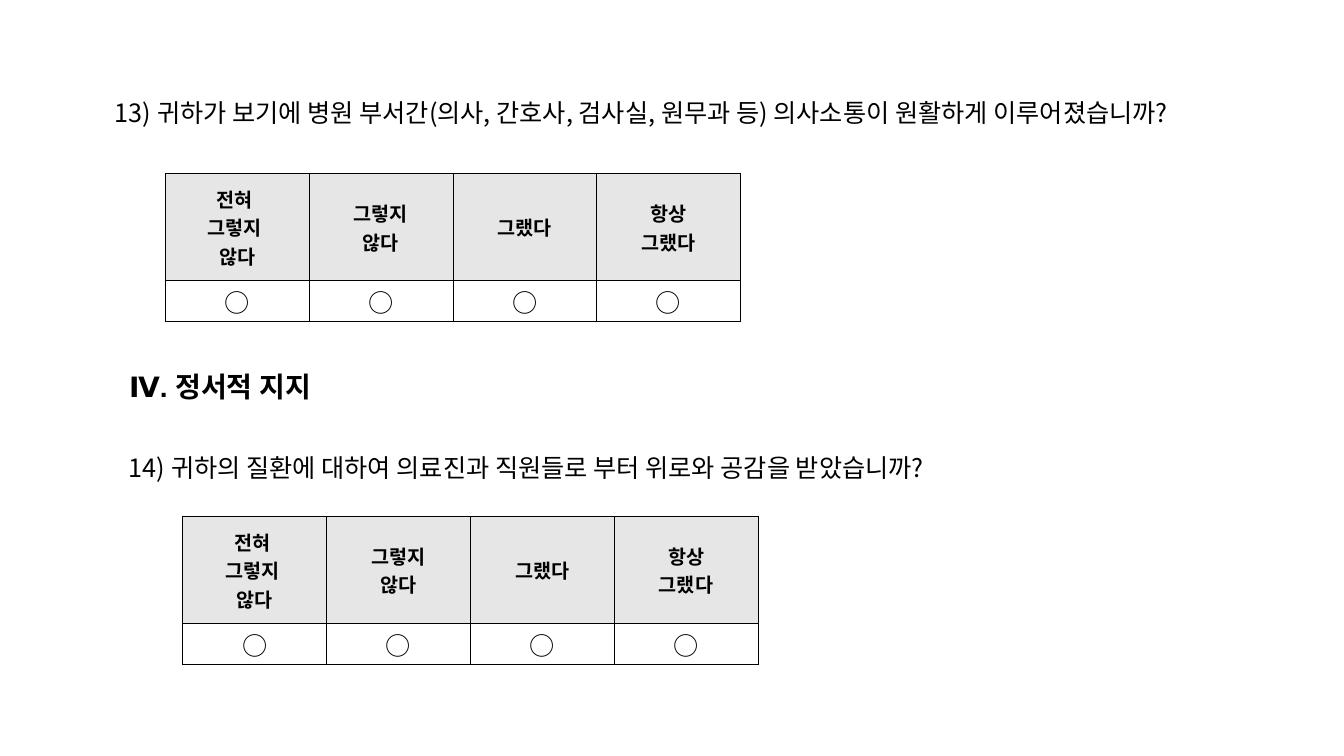
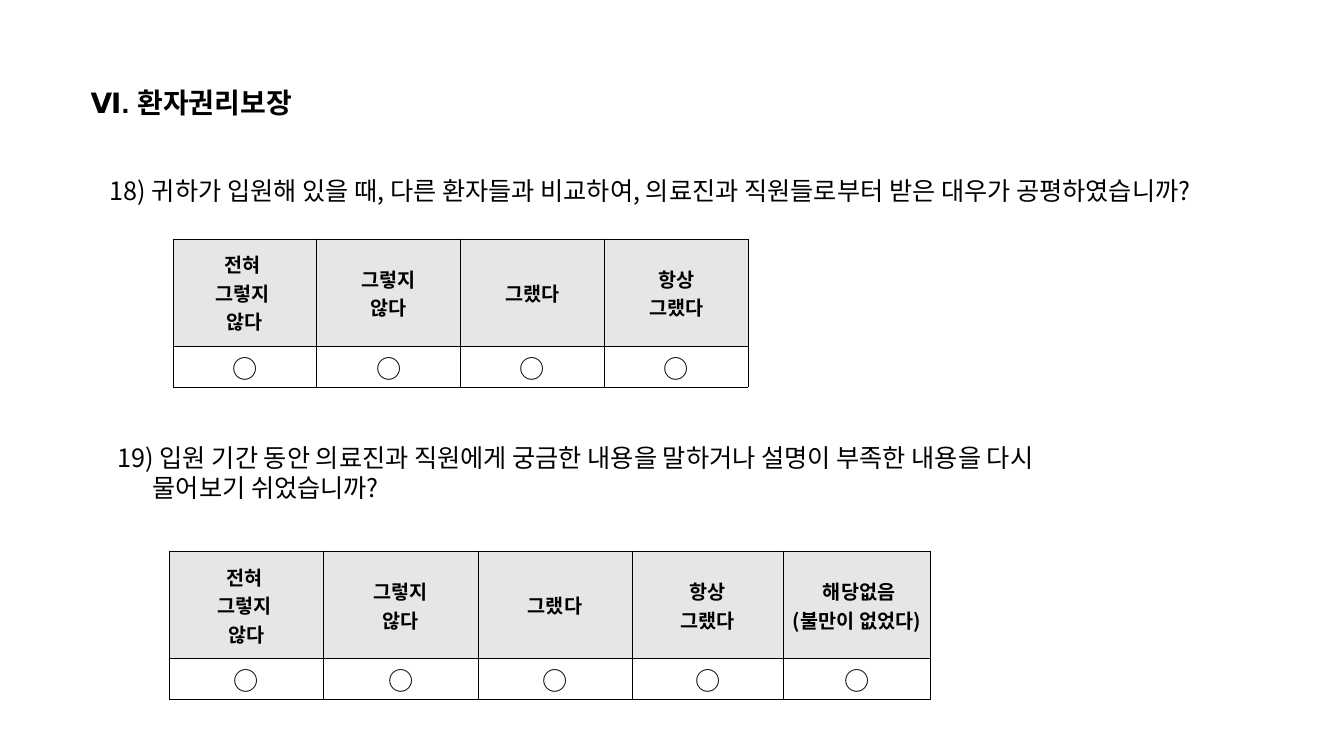
from dataclasses import dataclass
from typing import Any

from lxml import etree
from pptx import Presentation
from pptx.dml.color import RGBColor
from pptx.enum import text as t
from pptx.oxml import ns
from pptx.util import Pt

BLACK = RGBColor(0x00, 0x00, 0x00)
WHITE = RGBColor(0xFF, 0xFF, 0xFF)
HEADER_GRAY = RGBColor(0xE7, 0xE6, 0xE6)
KOREAN_FONT = "Noto Sans CJK KR"
TITLE_ONLY = 5

# Shared text styles
TITLE_FONT = {"name": "Arial", "size": Pt(20), "bold": True}
QUESTION_FONT = {"name": KOREAN_FONT, "size": Pt(18), "bold": False}
HEADER_FONT = {"name": KOREAN_FONT, "size": Pt(14), "bold": True}
CIRCLE_FONT = {"name": KOREAN_FONT, "size": Pt(18), "bold": False}
LINE_HEIGHTS = {"title": Pt(26), "question": Pt(21.6)}
CELL_FORMAT = {
    "margin_left": Pt(0.7), "margin_right": Pt(0.7),
    "margin_top": Pt(0.7), "margin_bottom": Pt(0),
    "vertical_anchor": t.MSO_ANCHOR.MIDDLE,
}

# Answer scale: \v breaks a line, \n starts a paragraph
SCALE = ["전혀 \v그렇지 \v않다", "그렇지\v않다", "그랬다", "항상\v그랬다"]
NOT_APPLICABLE = " 해당없음\n(불만이 없었다)"
FOUR_COLUMNS = [102.75] * 4
FIVE_COLUMNS = [110.2, 110.2, 110.2, 108, 105]
ROW_HEIGHTS = [76.5, 29.5]


@dataclass
class TextBlock:
    text: str
    left: float
    top: float
    width: float
    height: float
    wrap: bool = False


@dataclass
class AnswerTable:
    left: float
    top: float
    columns: list[float]
    labels: list[str]


@dataclass
class SurveyPage:
    title: TextBlock
    questions: list[TextBlock]
    tables: list[AnswerTable]


PAGES = [
    SurveyPage(
        TextBlock("Ⅳ. 정서적 지지", 85, 258.5, 155.5, 31.5),
        [
            TextBlock("13) 귀하가 보기에 병원 부서간(의사, 간호사, 검사실, 원무과 등) "
                      "의사소통이 원활하게 이루어졌습니까?", 75, 66.2, 851, 29),
            TextBlock("14) 귀하의 질환에 대하여 의료진과 직원들로 부터 "
                      "위로와 공감을 받았습니까?", 85, 319.7, 651.6, 29),
        ],
        [AnswerTable(118, 123.8, FOUR_COLUMNS, SCALE),
         AnswerTable(130.5, 368.6, FOUR_COLUMNS, SCALE)],
    ),
    SurveyPage(
        TextBlock("Ⅵ. 환자권리보장", 57.6, 55.4, 168.5, 31.5),
        [
            TextBlock("18) 귀하가 입원해 있을 때, 다른 환자들과 비교하여, "
                      "의료진과 직원들로부터 받은 대우가 공평하였습니까?",
                      71.3, 121.7, 879, 29),
            TextBlock("19) 입원 기간 동안 의료진과 직원에게 궁금한 내용을 "
                      "말하거나 설명이 부족한 내용을 다시\n물어보기 쉬었습니까?",
                      77, 312.5, 746.6, 51, wrap=True),
        ],
        [AnswerTable(123.5, 170.6, FOUR_COLUMNS, SCALE),
         AnswerTable(121, 393.8, FIVE_COLUMNS, SCALE + [NOT_APPLICABLE])],
    ),
]


def apply_format(target: Any, values: dict[str, Any]) -> None:
    for name, value in values.items():
        setattr(target, name, value)


def write_text(frame: Any, content: str, font: dict[str, Any],
               paragraph_format: dict[str, Any]) -> None:
    frame.text = content
    for paragraph in frame.paragraphs:
        apply_format(paragraph, paragraph_format)
        for run in paragraph.runs:
            apply_format(run.font, font)
            run.font.color.rgb = BLACK
            east_asian = etree.SubElement(run.font._element, ns.qn("a:ea"))
            east_asian.set("typeface", KOREAN_FONT)


def fill_block(shape: Any, block: TextBlock, font: dict[str, Any], line_height: Pt) -> None:
    apply_format(shape, {"left": Pt(block.left), "top": Pt(block.top),
                         "width": Pt(block.width), "height": Pt(block.height)})
    frame = shape.text_frame
    apply_format(frame, {"word_wrap": block.wrap,
                         "auto_size": t.MSO_AUTO_SIZE.SHAPE_TO_FIT_TEXT,
                         "vertical_anchor": t.MSO_ANCHOR.TOP})
    write_text(frame, block.text, font,
               {"alignment": t.PP_ALIGN.LEFT, "line_spacing": line_height})
    # Continuation lines align with the text after the number
    for paragraph in frame.paragraphs[1:]:
        paragraph._p.get_or_add_pPr().set("marL", str(Pt(25)))


def add_borders(cell: Any) -> None:
    properties = cell._tc.get_or_add_tcPr()
    for side in ("lnL", "lnR", "lnT", "lnB"):
        line = etree.SubElement(properties, ns.qn(f"a:{side}"), w=str(Pt(0.5)))
        fill = etree.SubElement(line, ns.qn("a:solidFill"))
        etree.SubElement(fill, ns.qn("a:srgbClr"), val=str(BLACK))


def add_answer_table(slide: Any, answers: AnswerTable) -> None:
    count = len(answers.columns)
    table = slide.shapes.add_table(
        2, count, Pt(answers.left), Pt(answers.top),
        Pt(sum(answers.columns)), Pt(sum(ROW_HEIGHTS))).table
    for column, width in zip(table.columns, answers.columns):
        column.width = Pt(width)
    rows = [(answers.labels, HEADER_FONT, HEADER_GRAY),
            (["○"] * count, CIRCLE_FONT, WHITE)]
    for row_index, (texts, font, color) in enumerate(rows):
        table.rows[row_index].height = Pt(ROW_HEIGHTS[row_index])
        for column_index, content in enumerate(texts):
            cell = table.cell(row_index, column_index)
            apply_format(cell, CELL_FORMAT)
            add_borders(cell)
            cell.fill.solid()
            cell.fill.fore_color.rgb = color
            write_text(cell.text_frame, content, font,
                       {"alignment": t.PP_ALIGN.CENTER})


def add_page(presentation: Any, page: SurveyPage) -> None:
    slide = presentation.slides.add_slide(presentation.slide_layouts[TITLE_ONLY])
    fill_block(slide.shapes.title, page.title, TITLE_FONT, LINE_HEIGHTS["title"])
    for question in page.questions:
        box = slide.shapes.add_textbox(Pt(0), Pt(0), Pt(0), Pt(0))
        fill_block(box, question, QUESTION_FONT, LINE_HEIGHTS["question"])
    for answers in page.tables:
        add_answer_table(slide, answers)


def main() -> None:
    presentation = Presentation()
    apply_format(presentation, {"slide_width": Pt(960), "slide_height": Pt(540)})
    for page in PAGES:
        add_page(presentation, page)
    presentation.save("out.pptx")


if __name__ == "__main__":
    main()
